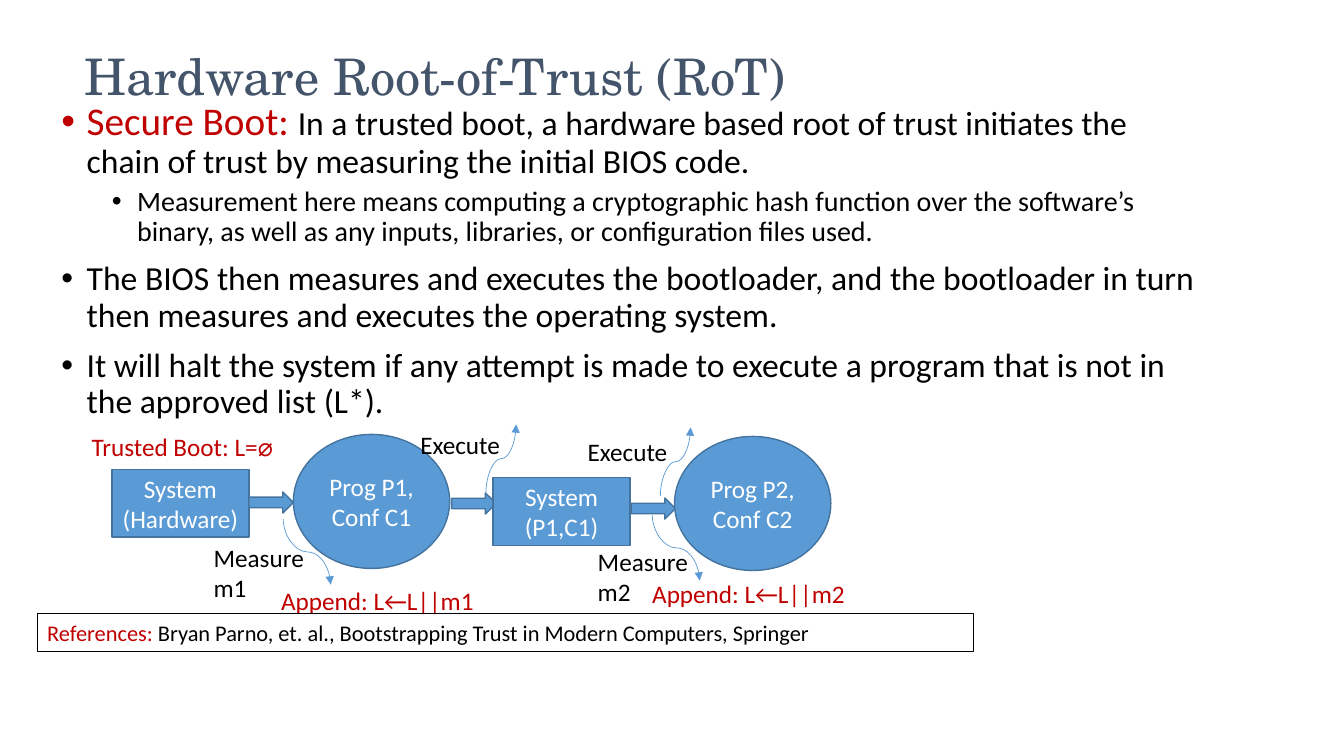
import pptx
import pptx.util
import pptx.dml.color
import pptx.enum.dml
import pptx.enum.shapes
import pptx.enum.text
import pptx.oxml.ns
import lxml.etree

Inches, Pt = pptx.util.Inches, pptx.util.Pt
RGBColor = pptx.dml.color.RGBColor
Shape = pptx.enum.shapes.MSO_SHAPE
Align, Anchor = pptx.enum.text.PP_ALIGN, pptx.enum.text.MSO_ANCHOR
qn = pptx.oxml.ns.qn

SLATE = RGBColor(0x44, 0x54, 0x6A)
RED = RGBColor(0xC0, 0x00, 0x00)
BLACK = RGBColor(0x00, 0x00, 0x00)
WHITE = RGBColor(0xFF, 0xFF, 0xFF)
BLUE = RGBColor(0x5B, 0x9B, 0xD5)
NAVY = RGBColor(0x43, 0x73, 0x9E)

HEADING = "Hardware Root-of-Trust (RoT)"
BULLETS = [
    (0, 24, [("Secure Boot: ", 28, RED),
             ("In a trusted boot, a hardware based root of trust initiates the chain of trust "
              "by measuring the initial BIOS code.", 24, BLACK)]),
    (1, 20, "Measurement here means computing a cryptographic hash function over the software’s "
            "binary, as well as any inputs, libraries, or configuration files used."),
    (0, 24, "The BIOS then measures and executes the bootloader, and the bootloader in turn "
            "then measures and executes the operating system."),
    (0, 24, "It will halt the system if any attempt is made to execute a program that is not "
            "in the approved list (L*)."),
]
REFERENCE = [("References: ", 16, RED),
             ("Bryan Parno, et. al., Bootstrapping Trust in Modern Computers, Springer", 16, BLACK)]

SYSTEM_SIZE, PROGRAM_SIZE, ARROW_SIZE = (1.36, 0.67), (1.55, 1.33), (0.44, 0.21)
NOTE_SIZE, EXECUTE_SIZE, MEASURE_SIZE = (2.42, 0.4), (1.21, 0.4), (1.21, 0.71)
MEASURE_CURVE, EXECUTE_CURVE = (0.47, 0.65), (0.3, -0.68)
BLOCKS = [
    (Shape.RECTANGLE, (1.11, 4.66), SYSTEM_SIZE, ["System", "(Hardware)"]),
    (Shape.OVAL, (2.91, 4.31), PROGRAM_SIZE, ["Prog P1,", "Conf C1"]),
    (Shape.RIGHT_ARROW, (2.47, 4.88), ARROW_SIZE, []),
    (Shape.RIGHT_ARROW, (4.48, 4.89), ARROW_SIZE, []),
    (Shape.RECTANGLE, (4.89, 4.74), SYSTEM_SIZE, ["System", "(P1,C1)"]),
    (Shape.RIGHT_ARROW, (6.26, 4.94), ARROW_SIZE, []),
    (Shape.OVAL, (6.69, 4.33), PROGRAM_SIZE, ["Prog P2,", "Conf C2"]),
]
LABELS = [
    ("Trusted Boot: L=⌀", (0.81, 4.23), NOTE_SIZE, RED),
    ("Append: L←L||m1", (2.69, 5.76), NOTE_SIZE, RED),
    ("Measure m1", (2.02, 5.33), MEASURE_SIZE, BLACK),
    ("Execute", (4.07, 4.21), EXECUTE_SIZE, BLACK),
    ("Measure m2", (5.83, 5.37), MEASURE_SIZE, BLACK),
    ("Append: L←L||m2", (6.37, 5.69), NOTE_SIZE, RED),
    ("Execute", (5.73, 4.28), EXECUTE_SIZE, BLACK),
]
CURVES = [
    ((2.81, 5.15), MEASURE_CURVE),
    ((4.82, 4.89), EXECUTE_CURVE),
    ((6.47, 5.11), MEASURE_CURVE),
    ((6.55, 4.92), EXECUTE_CURVE),
]


def style(font, size, color, name="Calibri"):
    font.size, font.name = Pt(size), name
    font.color.rgb = color


def place(part, at, size):
    part.left, part.top = map(Inches, at)
    part.width, part.height = map(Inches, size)


def add_runs(paragraph, pieces):
    for words, size, color in pieces:
        run = paragraph.add_run()
        run.text = words
        style(run.font, size, color)


def fill_bullets(frame):
    for number, (level, size, content) in enumerate(BULLETS):
        paragraph = frame.add_paragraph() if number else frame.paragraphs[0]
        paragraph.level = level
        paragraph.line_spacing = 0.9
        paragraph.space_before = Pt((5 if level else 10) if number else 0)
        properties = paragraph._p.get_or_add_pPr()
        properties.set("marL", str(Inches(0.25 + 0.5 * level)))
        properties.set("indent", str(Inches(-0.25)))
        lxml.etree.SubElement(properties, qn("a:buFont")).set("typeface", "Arial")
        lxml.etree.SubElement(properties, qn("a:buChar")).set("char", "•")
        if isinstance(content, str):
            paragraph.text = content
            style(paragraph.font, size, BLACK)
        else:
            add_runs(paragraph, content)


def add_block(slide, kind, at, size, lines):
    block = slide.shapes.add_shape(kind, *map(Inches, at + size))
    block.shadow.inherit = False
    block.fill.solid()
    block.fill.fore_color.rgb = BLUE
    block.line.color.rgb = NAVY
    block.line.width = Pt(1)
    frame = block.text_frame
    frame.vertical_anchor = Anchor.MIDDLE
    for number, line in enumerate(lines):
        paragraph = frame.add_paragraph() if number else frame.paragraphs[0]
        paragraph.text = line
        paragraph.alignment = Align.CENTER
        style(paragraph.font, 18, WHITE)


def add_label(slide, words, at, size, color):
    frame = slide.shapes.add_textbox(*map(Inches, at + size)).text_frame
    frame.word_wrap = True
    frame.text = words
    style(frame.paragraphs[0].font, 18, color)


def add_curve(slide, start, reach):
    across, down = reach
    middle_x, middle_y = start[0] + across / 2, start[1] + down / 2
    half_length, half_rise = abs(down) / 2, across / 2
    if down > 0:
        half_rise = -half_rise
    curve = slide.shapes.add_connector(
        pptx.enum.shapes.MSO_CONNECTOR.CURVE,
        Inches(middle_x + half_length), Inches(middle_y + half_rise),
        Inches(middle_x - half_length), Inches(middle_y - half_rise))
    properties = curve._element.spPr
    properties.find(qn("a:xfrm")).set("rot", str((270 if down > 0 else 90) * 60000))
    curve.line.color.rgb = BLUE
    curve.line.width = Pt(0.5)
    outline = properties.find(qn("a:ln"))
    lxml.etree.SubElement(outline, qn("a:tailEnd")).set("type", "triangle")
    lxml.etree.SubElement(properties, qn("a:effectLst"))


def main():
    deck = pptx.Presentation()
    deck.slide_width, deck.slide_height = Inches(13.33), Inches(7.5)
    slide = deck.slides.add_slide(deck.slide_layouts[1])

    title, body = slide.placeholders
    place(title, (0.74, 0.06), (11.5, 1.45))
    title.text_frame.text = HEADING
    title.text_frame.vertical_anchor = Anchor.MIDDLE
    heading = title.text_frame.paragraphs[0]
    heading.alignment = Align.LEFT
    heading.line_spacing = 0.9
    style(heading.font, 36, SLATE, "TeX Gyre Schola")

    place(body, (0.51, 0.96), (11.5, 4.76))
    body.text_frame.auto_size = pptx.enum.text.MSO_AUTO_SIZE.NONE
    fill_bullets(body.text_frame)

    for block in BLOCKS:
        add_block(slide, *block)
    for label in LABELS:
        add_label(slide, *label)
    for curve in CURVES:
        add_curve(slide, *curve)

    reference = slide.shapes.add_textbox(*map(Inches, (0.37, 6.09, 9.29, 0.37)))
    reference.line.color.rgb = BLACK
    reference.line.width = Pt(0.75)
    reference.text_frame.word_wrap = True
    add_runs(reference.text_frame.paragraphs[0], REFERENCE)

    deck.save("out.pptx")


if __name__ == "__main__":
    main()
